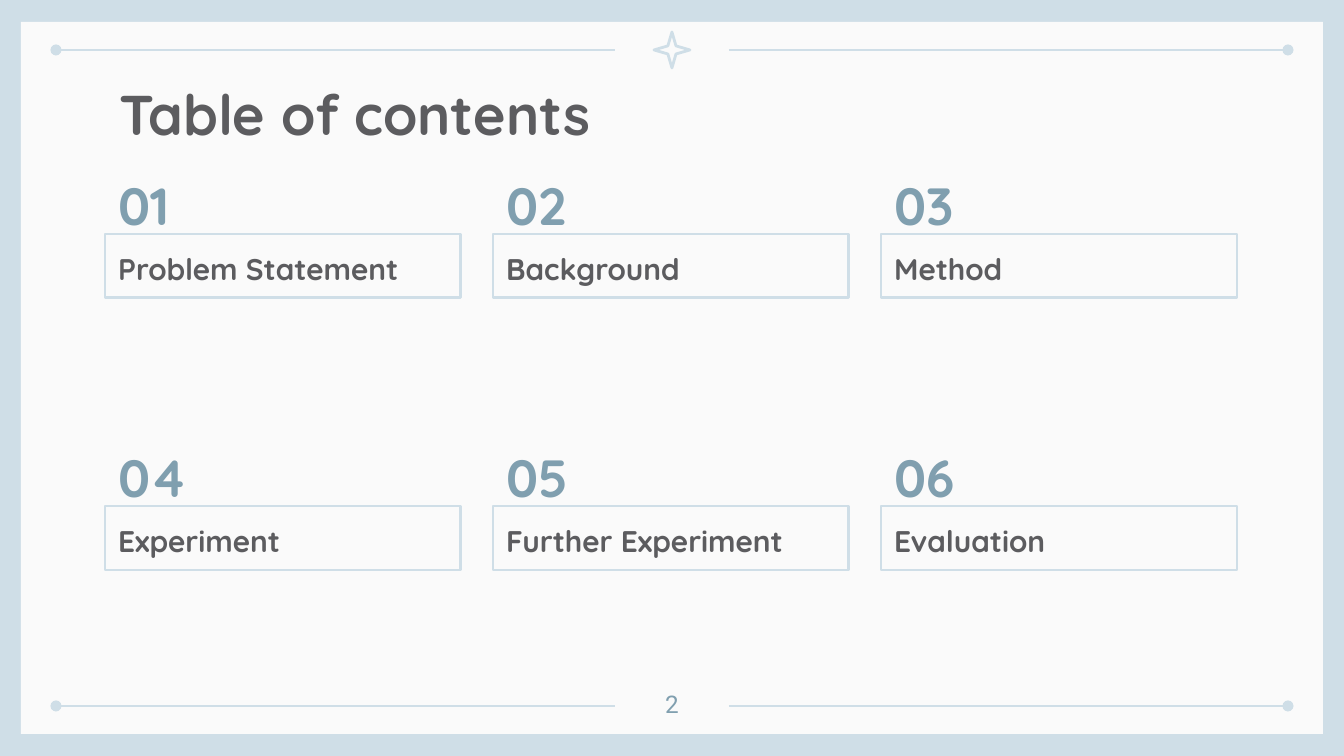
from dataclasses import dataclass

from lxml.etree import SubElement
from pptx import Presentation
from pptx.dml.color import RGBColor
from pptx.enum.shapes import MSO_CONNECTOR, MSO_SHAPE
from pptx.enum.text import MSO_ANCHOR, PP_ALIGN
from pptx.oxml.ns import qn
from pptx.util import Emu, Inches, Pt

EMU_PER_PX = 914400 / 134.4
SLIDE_WIDTH, SLIDE_HEIGHT = 1344, 756


def px(length):
    return Emu(round(length * EMU_PER_PX))


@dataclass(frozen=True)
class Theme:
    frame: RGBColor = RGBColor.from_string("CFDEE7")
    panel: RGBColor = RGBColor.from_string("FAFAFA")
    ink: RGBColor = RGBColor.from_string("5C5C5F")
    accent: RGBColor = RGBColor.from_string("809FAF")
    heading_font: str = "Quicksand"
    page_font: str = "Roboto"
    title_size: int = 30
    number_size: int = 28
    topic_size: int = 16
    page_size: int = 13
    line_width: float = 1.5


class SlideBuilder:
    def __init__(self, slide, theme):
        self.slide = slide
        self.theme = theme

    def background(self):
        fill = self.slide.background.fill
        fill.solid()
        fill.fore_color.rgb = self.theme.frame

    def shape(self, kind, left, top, width, height, fill=None):
        """Add a filled shape without outline, or an outlined shape without fill."""
        shape = self.slide.shapes.add_shape(kind, px(left), px(top), px(width), px(height))
        shape.shadow.inherit = False
        if fill is not None:
            shape.fill.solid()
            shape.fill.fore_color.rgb = fill
            shape.line.fill.background()
        else:
            shape.fill.background()
            shape.line.color.rgb = self.theme.frame
            shape.line.width = Pt(self.theme.line_width)
        return shape

    def rule(self, start, end, y, dot_end):
        """Add a horizontal line with a dot at its headEnd or tailEnd."""
        line = self.slide.shapes.add_connector(
            MSO_CONNECTOR.STRAIGHT, px(start), px(y), px(end), px(y))
        line.line.color.rgb = self.theme.frame
        line.line.width = Pt(self.theme.line_width)
        properties = line._element.spPr
        SubElement(properties.find(qn("a:ln")), qn(f"a:{dot_end}"), type="oval")
        SubElement(properties, qn("a:effectLst"))

    def set_text(self, shape, text, size, color, font=None, bold=True,
                 align=PP_ALIGN.LEFT, anchor=MSO_ANCHOR.MIDDLE, spacing=1.15):
        frame = shape.text_frame
        frame.word_wrap = True
        frame.vertical_anchor = anchor
        frame.margin_left = frame.margin_right = Inches(0.1)
        frame.margin_top = frame.margin_bottom = Inches(0.1)
        paragraph = frame.paragraphs[0]
        paragraph.alignment = align
        paragraph.line_spacing = spacing
        run = paragraph.add_run()
        run.text = text
        run.font.name = font or self.theme.heading_font
        run.font.size = Pt(size)
        run.font.bold = bold
        run.font.color.rgb = color

    def text(self, left, top, width, height, text, size, color, **style):
        box = self.slide.shapes.add_textbox(px(left), px(top), px(width), px(height))
        self.set_text(box, text, size, color, **style)

    def topic(self, left, top, number, name):
        self.text(left, top, 97, 64, f"{number:02}", self.theme.number_size, self.theme.accent)
        box = self.shape(MSO_SHAPE.RECTANGLE, left, top + 66, 356, 64)
        self.set_text(box, name, self.theme.topic_size, self.theme.ink)


def main():
    presentation = Presentation()
    presentation.slide_width = px(SLIDE_WIDTH)
    presentation.slide_height = px(SLIDE_HEIGHT)
    theme = Theme()
    builder = SlideBuilder(presentation.slides.add_slide(presentation.slide_layouts[6]), theme)

    builder.background()
    builder.shape(MSO_SHAPE.RECTANGLE, 21, 22, 1302, 712, fill=theme.panel)
    for y in (50, 706):
        builder.rule(56, 615, y, "headEnd")
        builder.rule(729, 1288, y, "tailEnd")
    star = builder.shape(MSO_SHAPE.STAR_4_POINT, 654, 32, 36, 36)
    star.adjustments[0] = 0.16

    builder.text(106, 66, 1133, 85, "Table of contents", theme.title_size, theme.ink,
                 anchor=MSO_ANCHOR.TOP, spacing=1.0)

    topics = ["Problem Statement", "Background", "Method",
              "Experiment", "Further Experiment", "Evaluation"]
    for index, name in enumerate(topics):
        row, column = divmod(index, 3)
        builder.topic(105 + 388 * column, 168 + 272 * row, index + 1, name)

    builder.text(632, 676, 80, 48, "2", theme.page_size, theme.accent, font=theme.page_font,
                 bold=False, align=PP_ALIGN.CENTER, anchor=MSO_ANCHOR.TOP, spacing=1.0)
    presentation.save("out.pptx")


if __name__ == "__main__":
    main()
